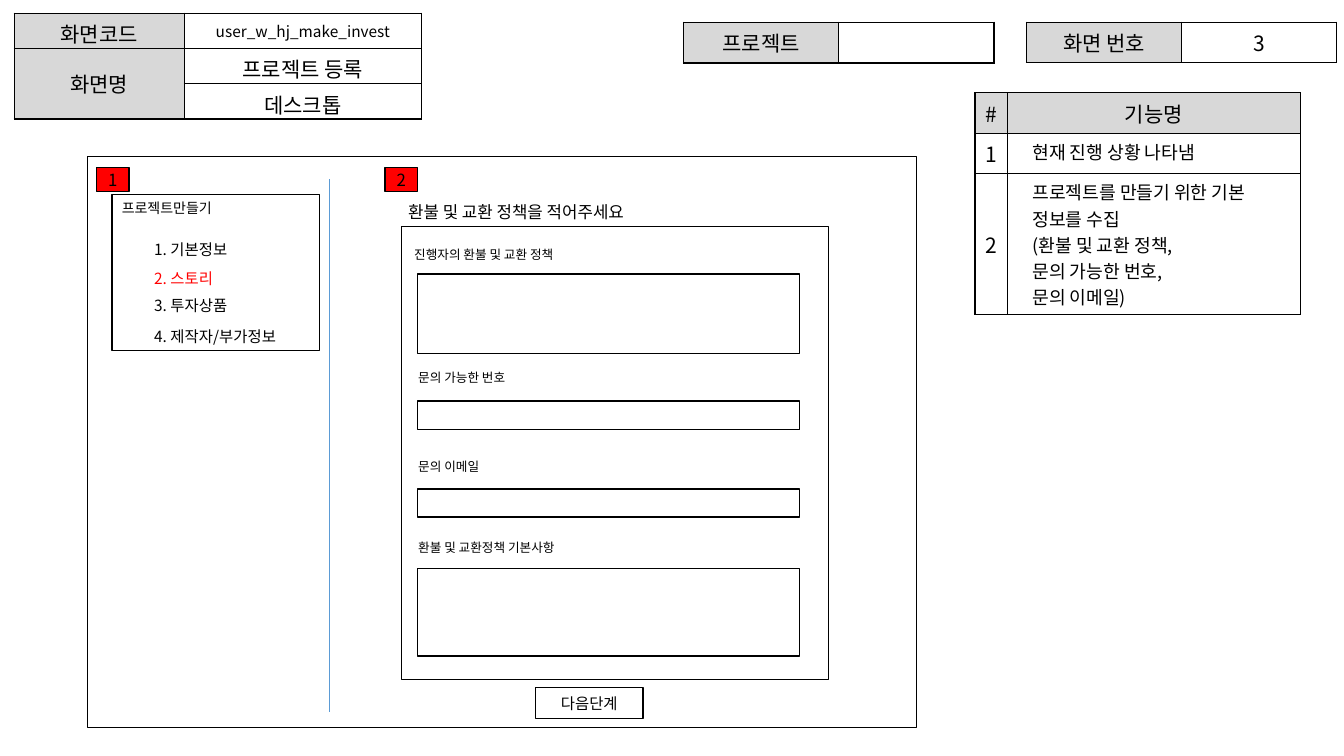
from lxml.etree import SubElement as Sub
from pptx import Presentation as Deck
from pptx.dml.color import RGBColor as Rgb
from pptx.enum.shapes import MSO_CONNECTOR as Link, MSO_SHAPE as Kind
from pptx.enum.text import MSO_ANCHOR as Anchor, PP_ALIGN as Align
from pptx.oxml.ns import qn
from pptx.util import Inches, Pt

FONT = "Noto Sans CJK KR"
HUES = {"ink": "000000", "head": "D8D8D8", "paper": "FFFFFF",
        "red": "FF0000", "blue": "5B9BD5"}
STEPS = [(2.33, 1.26, "1. 기본정보", "ink"), (2.62, 1.26, "2. 스토리", "red"),
         (2.89, 1.26, "3. 투자상품", "ink"), (3.2, 2.14, "4. 제작자/부가정보", "ink")]
FIELDS = [(4.01, 2.4, "진행자의 환불 및 교환 정책", 2.72, 0.79),
          (4.05, 3.62, "문의 가능한 번호", 3.98, 0.28),
          (4.05, 4.5, "문의 이메일", 4.85, 0.28),
          (4.05, 5.31, "환불 및 교환정책 기본사항", 5.64, 0.87)]
DUTIES = ["프로젝트를 만들기 위한 기본 정보를 수집", "(환불 및 교환 정책,",
          "문의 가능한 번호,", "문의 이메일)"]


def tint(name):
    return Rgb.from_string(HUES[name])


def write(frame, lines, size, hue="ink", align=Align.LEFT, indent=0):
    for i, line in enumerate(lines):
        para = frame.paragraphs[0] if i == 0 else frame.add_paragraph()
        para.alignment = align
        if indent:
            props = para._p.get_or_add_pPr()
            props.set("marL", str(Inches(indent)))
            props.set("indent", "0")
        run = para.add_run()
        run.text = line
        run.font.size = Pt(size)
        run.font.name = FONT
        run.font.color.rgb = tint(hue)
        Sub(run._r.get_or_add_rPr(), qn("a:ea"), typeface=FONT)


def label(shapes, x, y, w, h, text, size, hue="ink"):
    box = shapes.add_textbox(Inches(x), Inches(y), Inches(w), Inches(h))
    box.text_frame.word_wrap = True
    write(box.text_frame, [text], size, hue)


def panel(shapes, x, y, w, h, text="", size=12, fill=None):
    box = shapes.add_shape(Kind.RECTANGLE, Inches(x), Inches(y), Inches(w), Inches(h))
    box.shadow.inherit = False
    box.line.color.rgb = tint("ink")
    box.line.width = Pt(1)
    if fill:
        box.fill.solid()
        box.fill.fore_color.rgb = tint(fill)
    else:
        box.fill.background()
    if text:
        box.text_frame.vertical_anchor = Anchor.MIDDLE
        write(box.text_frame, [text], size, align=Align.CENTER)


def badge(shapes, x, text):
    panel(shapes, x, 1.66, 0.32, 0.24, text, fill="red")


def border(cell):
    props = cell._tc.get_or_add_tcPr()
    for i, side in enumerate(("a:lnL", "a:lnR", "a:lnT", "a:lnB")):
        line = props.makeelement(qn(side), {"w": str(Pt(1))})
        fill = Sub(line, qn("a:solidFill"))
        Sub(fill, qn("a:srgbClr"), val=HUES["ink"])
        props.insert(i, line)


def grid(shapes, x, y, cols, rows, heads):
    frame = shapes.add_table(len(rows), len(cols), Inches(x), Inches(y),
                             Inches(sum(cols)), Inches(sum(rows)))
    table = frame.table
    for col, width in zip(table.columns, cols):
        col.width = Inches(width)
    for row, height in zip(table.rows, rows):
        row.height = Inches(height)
    for r in range(len(rows)):
        for c in range(len(cols)):
            cell = table.cell(r, c)
            cell.fill.solid()
            cell.fill.fore_color.rgb = tint("head" if (r, c) in heads else "paper")
            border(cell)
    return table


def enter(table, row, col, text, size=15):
    cell = table.cell(row, col)
    cell.vertical_anchor = Anchor.MIDDLE
    write(cell.text_frame, [text], size, align=Align.CENTER)


def bar(shapes, x, *texts):
    table = grid(shapes, x, 0.22, [1.54, 1.54], [0.4], {(0, 0)})
    for col, text in enumerate(texts):
        enter(table, 0, col, text)


def guide(shapes):
    table = grid(shapes, 9.67, 0.92, [0.32, 2.91], [0.4, 0.4, 1.4], {(0, 0), (0, 1)})
    enter(table, 0, 1, "기능명")
    for row, mark in enumerate("#12"):
        enter(table, row, 0, mark)
    for row, lines in enumerate((["현재 진행 상황 나타냄"], DUTIES), 1):
        write(table.cell(row, 1).text_frame, lines, 13, indent=0.15)


def code(shapes):
    table = grid(shapes, 0.14, 0.13, [1.69, 2.35], [0.35] * 3, {(0, 0), (1, 0), (2, 0)})
    table.cell(1, 0).merge(table.cell(2, 0))
    enter(table, 0, 0, "화면코드")
    enter(table, 0, 1, "user_w_hj_make_invest", 11)
    enter(table, 1, 0, "화면명")
    enter(table, 1, 1, "프로젝트 등록")
    enter(table, 2, 1, "데스크톱")


def rule(shapes, x, top, end):
    line = shapes.add_connector(Link.STRAIGHT, Inches(x), Inches(top), Inches(x), Inches(end))
    line.line.color.rgb = tint("blue")
    line.line.width = Pt(0.5)
    Sub(line._element.spPr, qn("a:effectLst"))


def menu(shapes):
    label(shapes, 1.11, 1.93, 1.45, 0.27, "프로젝트만들기", 10)
    for y, w, text, hue in STEPS:
        label(shapes, 1.43, y, w, 0.29, text, 11, hue)
    panel(shapes, 1.11, 1.93, 2.06, 1.55)
    badge(shapes, 0.96, "1")


def form(shapes):
    label(shapes, 3.95, 1.95, 3.3, 0.45, "환불 및 교환 정책을 적어주세요", 12)
    panel(shapes, 3.98, 2.25, 4.24, 4.49)
    badge(shapes, 3.82, "2")
    for x, y, text, top, high in FIELDS:
        label(shapes, x, y, 3.3, 0.25, text, 9)
        panel(shapes, 4.14, top, 3.79, high)
    panel(shapes, 5.31, 6.82, 1.07, 0.31, "다음단계", 11)


def main():
    deck = Deck()
    deck.slide_width = Inches(13.33)
    deck.slide_height = Inches(7.5)
    shapes = deck.slides.add_slide(deck.slide_layouts[6]).shapes
    bar(shapes, 10.18, "화면 번호", "3")
    bar(shapes, 6.78, "프로젝트")
    guide(shapes)
    rule(shapes, 3.27, 1.78, 7.06)
    menu(shapes)
    panel(shapes, 0.87, 1.55, 8.22, 5.67)
    form(shapes.add_group_shape().shapes)
    code(shapes)
    deck.save("out.pptx")


if __name__ == "__main__":
    main()
